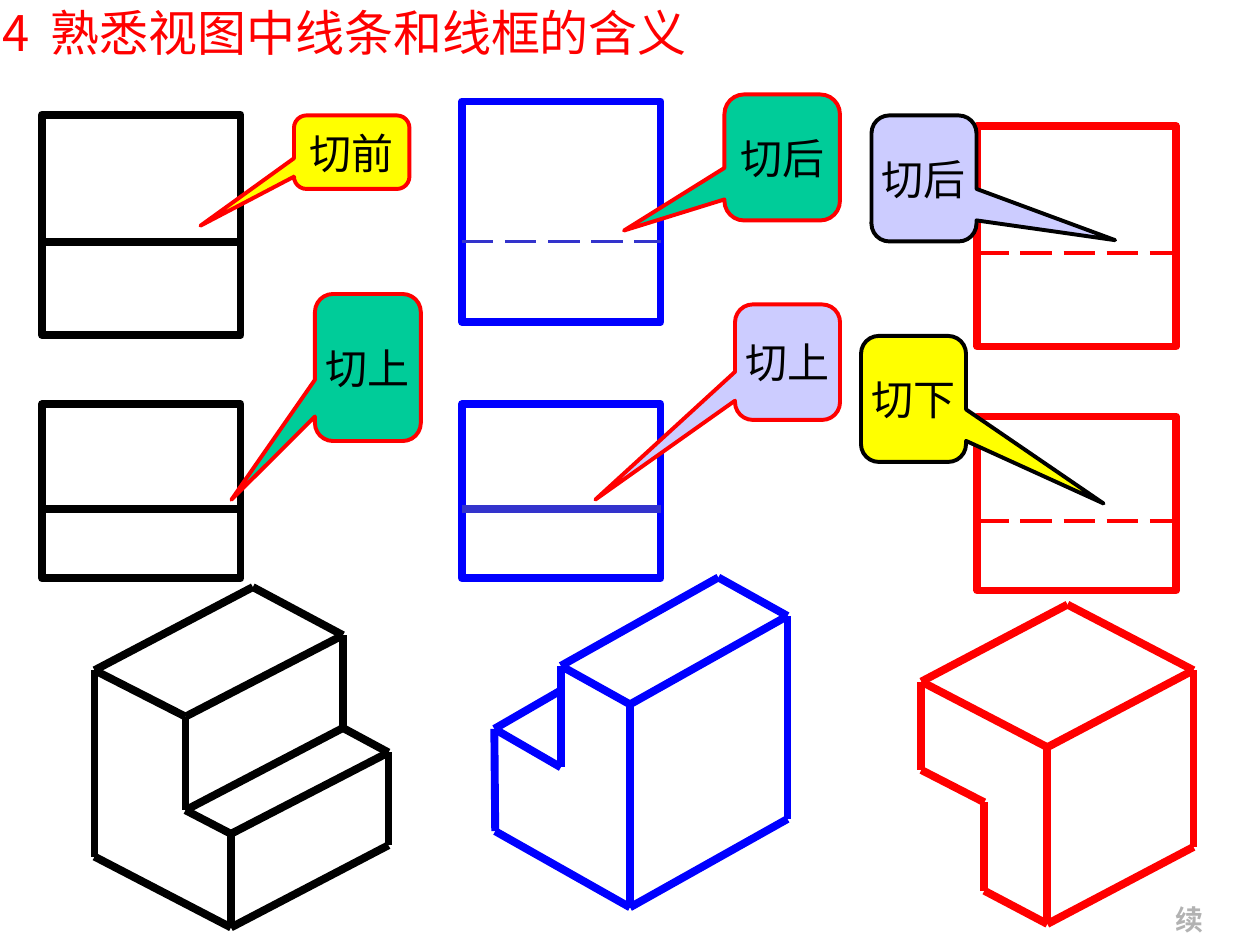
from dataclasses import dataclass
from itertools import pairwise

from lxml import etree
from pptx import Presentation
from pptx.dml.color import RGBColor
from pptx.enum.dml import MSO_LINE
from pptx.enum.shapes import MSO_CONNECTOR, MSO_SHAPE
from pptx.enum.text import MSO_ANCHOR, MSO_AUTO_SIZE, PP_ALIGN
from pptx.oxml.ns import qn
from pptx.util import Pt

STRAIGHT = MSO_CONNECTOR.STRAIGHT
RECTANGLE = MSO_SHAPE.RECTANGLE
CALLOUT = MSO_SHAPE.ROUNDED_RECTANGULAR_CALLOUT
LONG_DASH = MSO_LINE.LONG_DASH
LEFT, CENTER = PP_ALIGN.LEFT, PP_ALIGN.CENTER
TOP, MIDDLE = MSO_ANCHOR.TOP, MSO_ANCHOR.MIDDLE


@dataclass(frozen=True)
class Theme:
    black: str = "000000"
    red: str = "FF0000"
    blue: str = "0000FF"
    indigo: str = "3333CC"
    green: str = "00CC99"
    yellow: str = "FFFF00"
    lilac: str = "CCCCFF"
    grey: str = "B2B2B2"
    font: str = "Noto Sans CJK SC"
    note_font: str = "Times New Roman"
    title_size: float = 28
    label_size: float = 24
    note_size: float = 16
    thick: float = 4.5
    thin: float = 2.25


THEME = Theme()
VIEW_WIDTH, FRONT_HEIGHT, PLAN_HEIGHT = 113.5, 126, 99.5

# colour, left, front top, front cut, plan top, plan cut, cut colour, hidden cuts
VIEWS = [
    (THEME.red, 558.5, 72, 144.5, 238, 297.5, THEME.red, (True, True)),
    (THEME.black, 24, 65.5, 138.5, 231, 291, THEME.black, (False, False)),
    (THEME.blue, 264, 58, 138, 231, 291, THEME.indigo, (True, False)),
]

# colour, corners, chains of corners joined by edges
SOLIDS = [
    (THEME.black,
     {"A": (54, 383), "B": (144.5, 335.5), "C": (196, 363), "D": (106, 409.5),
      "E": (196, 416), "F": (222, 430), "G": (132, 476.5), "H": (106, 463),
      "I": (222, 483), "J": (132, 530), "K": (54, 489.5)},
     ["ABCDA", "CE", "DH", "EFGHE", "FIJG", "JKA"]),
    (THEME.blue,
     {"A": (320.5, 380.5), "B": (410.5, 330), "C": (450, 352), "D": (360, 402.5),
      "E": (450, 468), "F": (360, 518.5), "G": (283, 475), "H": (282.5, 416.5),
      "I": (320.5, 438.5), "J": (320.5, 394.5)},
     ["ABCDA", "CEFD", "FGHIA", "HJ"]),
    (THEME.red,
     {"A": (526.5, 389.5), "B": (610, 345.5), "C": (682, 383), "D": (598.5, 427),
      "E": (682, 484), "F": (598.5, 528), "G": (562.5, 509), "H": (562.5, 458.5),
      "I": (526.5, 440)},
     ["ABCDA", "CEFD", "FGHIA"]),
]

# text, (left, top, width, height), pointer offset, fill, outline
CALLOUTS = [
    ("切上", (180, 168, 60.5, 84), (-1.29, 0.9), THEME.green, THEME.red),
    ("切后", (414, 54, 66, 72), (-1.37, 0.58), THEME.green, THEME.red),
    ("切前", (168, 66, 66, 42), (-1.31, 1), THEME.yellow, THEME.red),
    ("切后", (498, 66, 60, 72), (1.82, 0.49), THEME.lilac, THEME.black),
    ("切下", (492, 192, 60, 72), (1.81, 0.83), THEME.yellow, THEME.black),
    ("切上", (420, 174, 60, 66), (-1.83, 1.19), THEME.lilac, THEME.red),
]


def rgb(colour):
    return RGBColor.from_string(colour)


def write(box, text, *, size, colour, font=THEME.font, bold=False,
          align=LEFT, anchor=TOP, wrap=False, tracking=0):
    """Add a formatted span to the first paragraph of a box."""
    frame = box.text_frame
    frame.auto_size = MSO_AUTO_SIZE.NONE
    frame.word_wrap = wrap
    frame.vertical_anchor = anchor
    para = frame.paragraphs[0]
    para.alignment = align
    span = para.add_run()
    span.text = text
    span.font.size = Pt(size)
    span.font.bold = bold
    span.font.color.rgb = rgb(colour)
    span.font.name = font
    properties = span.font._element
    etree.SubElement(properties, qn("a:ea"), typeface=THEME.font)
    if tracking:
        properties.set("spc", str(tracking * 100))


def place(box, left, top, width, height):
    box.left, box.top = Pt(left), Pt(top)
    box.width, box.height = Pt(width), Pt(height)


def add_outlined(page, kind, bounds, colour, weight, fill=None):
    shape = page.shapes.add_shape(kind, *map(Pt, bounds))
    shape.shadow.inherit = False
    if fill:
        shape.fill.solid()
        shape.fill.fore_color.rgb = rgb(fill)
    else:
        shape.fill.background()
    shape.line.color.rgb = rgb(colour)
    shape.line.width = Pt(weight)
    return shape


def add_line(page, start, end, colour, hidden=False):
    """Draw a thick edge, or a thin dashed one when it is hidden."""
    line = page.shapes.add_connector(STRAIGHT, *map(Pt, (*start, *end)))
    line.line.color.rgb = rgb(colour)
    line.line.width = Pt(THEME.thin if hidden else THEME.thick)
    if hidden:
        line.line.dash_style = LONG_DASH
    etree.SubElement(line._element.spPr, qn("a:effectLst"))


def add_solid(page, colour, corners, chains):
    for chain in chains:
        for start, end in pairwise(chain):
            add_line(page, corners[start], corners[end], colour)


def add_views(page, colour, left, front_top, front_cut, plan_top, plan_cut,
              cut_colour, hidden_cuts):
    """Draw a front view above a plan view, each with its cut line."""
    for top, height in ((front_top, FRONT_HEIGHT), (plan_top, PLAN_HEIGHT)):
        add_outlined(page, RECTANGLE, (left, top, VIEW_WIDTH, height),
                     colour, THEME.thick)
    for cut, hidden in zip((front_cut, plan_cut), hidden_cuts):
        add_line(page, (left, cut), (left + VIEW_WIDTH, cut), cut_colour, hidden)


def add_callout(page, text, bounds, pointer, fill, outline):
    box = add_outlined(page, CALLOUT, bounds, outline, THEME.thin, fill)
    for index, value in enumerate((*pointer, 0.17)):
        box.adjustments[index] = value
    write(box, text, size=THEME.label_size, colour=THEME.black,
          align=CENTER, anchor=MIDDLE)


def add_title(page):
    title = page.shapes.title
    place(title, -6, -2, 440, 41)
    style = {"size": THEME.title_size, "colour": THEME.red, "wrap": True}
    write(title, "4 ", tracking=3, **style)
    write(title, "熟悉视图中线条和线框的含义", **style)


def add_note(page):
    note = page.shapes.add_textbox(Pt(664.5), Pt(512), Pt(30.5), Pt(26.5))
    write(note, "续", size=THEME.note_size, colour=THEME.grey,
          font=THEME.note_font, bold=True, align=CENTER)


def main():
    deck = Presentation()
    deck.slide_width, deck.slide_height = Pt(720), Pt(540)
    page = deck.slides.add_slide(deck.slide_layouts[5])
    add_title(page)
    for solid in SOLIDS:
        add_solid(page, *solid)
    for views in VIEWS:
        add_views(page, *views)
    add_note(page)
    for callout in CALLOUTS:
        add_callout(page, *callout)
    deck.save("out.pptx")


if __name__ == "__main__":
    main()
